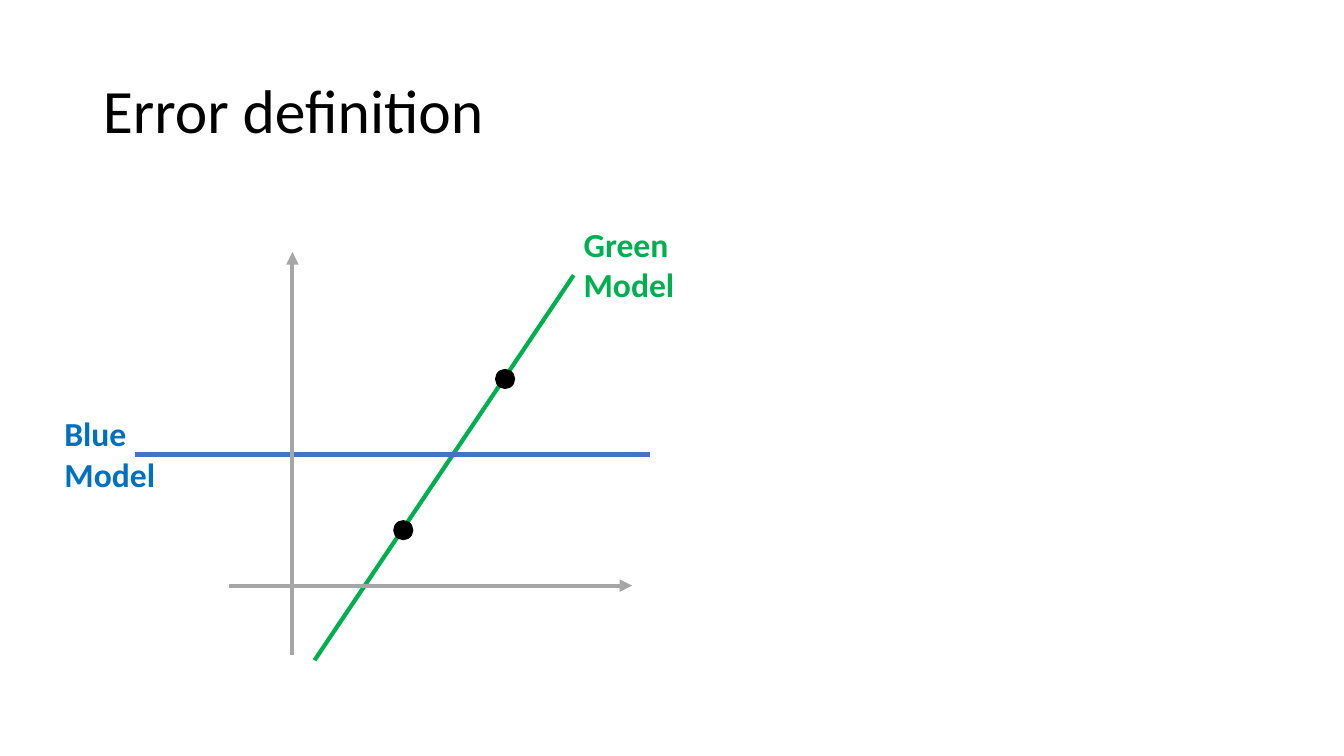
from dataclasses import dataclass

import pptx
import pptx.dml.color
import pptx.enum.shapes
import pptx.enum.text
import pptx.oxml
import pptx.oxml.ns
import pptx.util
from pptx.util import Inches

RGBColor = pptx.dml.color.RGBColor
BLACK = RGBColor(0x00, 0x00, 0x00)
GREEN = RGBColor(0x00, 0xB0, 0x50)
LINE_BLUE = RGBColor(0x44, 0x72, 0xC4)
LABEL_BLUE = RGBColor(0x00, 0x70, 0xC0)
AXIS_GRAY = RGBColor(0xA6, 0xA6, 0xA6)
POINT_SIZE = 0.2


@dataclass
class Line:
    start: tuple[float, float]
    end: tuple[float, float]
    color: RGBColor
    arrow: bool = False


@dataclass
class Label:
    lines: tuple[str, ...]
    left: float
    top: float
    width: float
    color: RGBColor


LINES = [
    Line((3.12, 6.55), (5.69, 2.73), GREEN),
    Line((1.34, 4.51), (6.45, 4.51), LINE_BLUE),
    Line((2.9, 6.5), (2.9, 2.5), AXIS_GRAY, arrow=True),
    Line((2.27, 5.81), (6.27, 5.81), AXIS_GRAY, arrow=True),
]
DATA_POINTS = [(5.01, 3.76), (4.0, 5.26)]
LABELS = [
    Label(("Blue", "Model"), 0.54, 4.05, 1.45, LABEL_BLUE),
    Label(("Green", "Model"), 5.69, 2.17, 1.73, GREEN),
]


def format_font(font: pptx.text.text.Font, size: int, bold: bool, color: RGBColor) -> None:
    values = {"name": "Calibri", "size": pptx.util.Pt(size), "bold": bold}
    for name, value in values.items():
        setattr(font, name, value)
    font.color.rgb = color


def add_title(slide: pptx.slide.Slide, text: str) -> None:
    title = slide.shapes.title
    placement = {"left": 0.92, "top": 0.4, "width": 11.5, "height": 1.45}
    for name, value in placement.items():
        setattr(title, name, Inches(value))
    frame = title.text_frame
    frame.text = text
    frame.auto_size = pptx.enum.text.MSO_AUTO_SIZE.NONE
    frame.vertical_anchor = pptx.enum.text.MSO_ANCHOR.MIDDLE
    paragraph = frame.paragraphs[0]
    paragraph.alignment = pptx.enum.text.PP_ALIGN.LEFT
    paragraph.line_spacing = 0.9
    format_font(paragraph.runs[0].font, 44, False, BLACK)


def add_line(slide: pptx.slide.Slide, line: Line) -> None:
    points = [Inches(value) for value in (*line.start, *line.end)]
    connector = slide.shapes.add_connector(pptx.enum.shapes.MSO_CONNECTOR.STRAIGHT, *points)
    connector.line.color.rgb = line.color
    connector.line.width = pptx.util.Pt(3)
    if line.arrow:
        tail = pptx.oxml.parse_xml(f'<a:tailEnd {pptx.oxml.ns.nsdecls("a")} type="triangle"/>')
        connector.line._get_or_add_ln().append(tail)
    effects = pptx.oxml.parse_xml(f'<a:effectLst {pptx.oxml.ns.nsdecls("a")}/>')
    connector._element.spPr.append(effects)


def add_data_point(slide: pptx.slide.Slide, center_x: float, center_y: float) -> None:
    shape = slide.shapes.add_shape(
        pptx.enum.shapes.MSO_SHAPE.OVAL,
        Inches(center_x - POINT_SIZE / 2),
        Inches(center_y - POINT_SIZE / 2),
        Inches(POINT_SIZE),
        Inches(POINT_SIZE),
    )
    shape.shadow.inherit = False
    shape.fill.solid()
    shape.fill.fore_color.rgb = BLACK
    shape.line.fill.background()


def add_label(slide: pptx.slide.Slide, label: Label) -> None:
    box = slide.shapes.add_textbox(
        Inches(label.left), Inches(label.top), Inches(label.width), Inches(0.91)
    )
    frame = box.text_frame
    frame.word_wrap = True
    frame.auto_size = pptx.enum.text.MSO_AUTO_SIZE.SHAPE_TO_FIT_TEXT
    frame.text = "\n".join(label.lines)
    for paragraph in frame.paragraphs:
        format_font(paragraph.runs[0].font, 24, True, label.color)


def main() -> None:
    presentation = pptx.Presentation()
    presentation.slide_width = Inches(13.33)
    presentation.slide_height = Inches(7.5)
    slide = presentation.slides.add_slide(presentation.slide_layouts[5])
    add_title(slide, "Error definition")
    for line in LINES:
        add_line(slide, line)
    for center in DATA_POINTS:
        add_data_point(slide, *center)
    for label in LABELS:
        add_label(slide, label)
    presentation.save("out.pptx")


if __name__ == "__main__":
    main()
